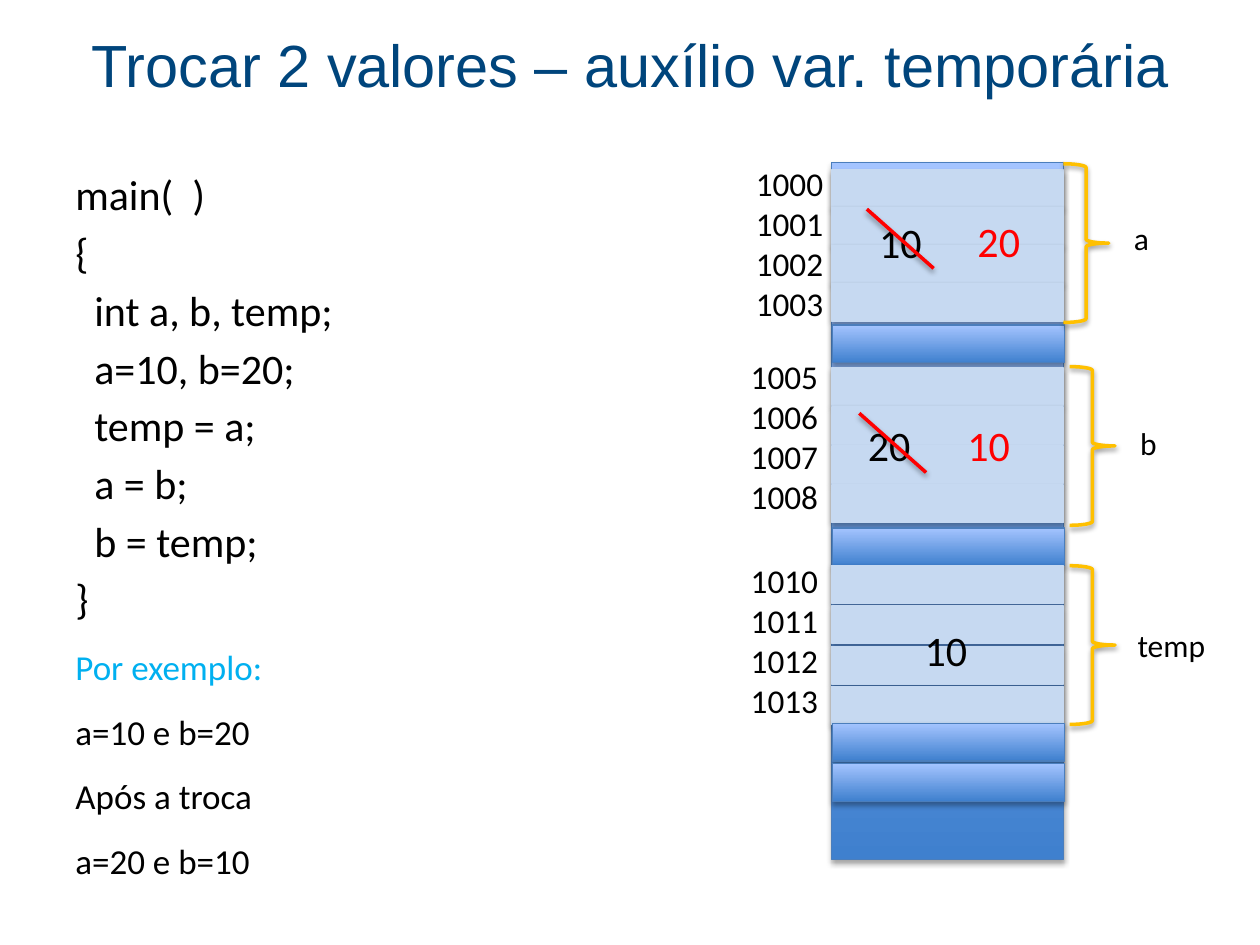
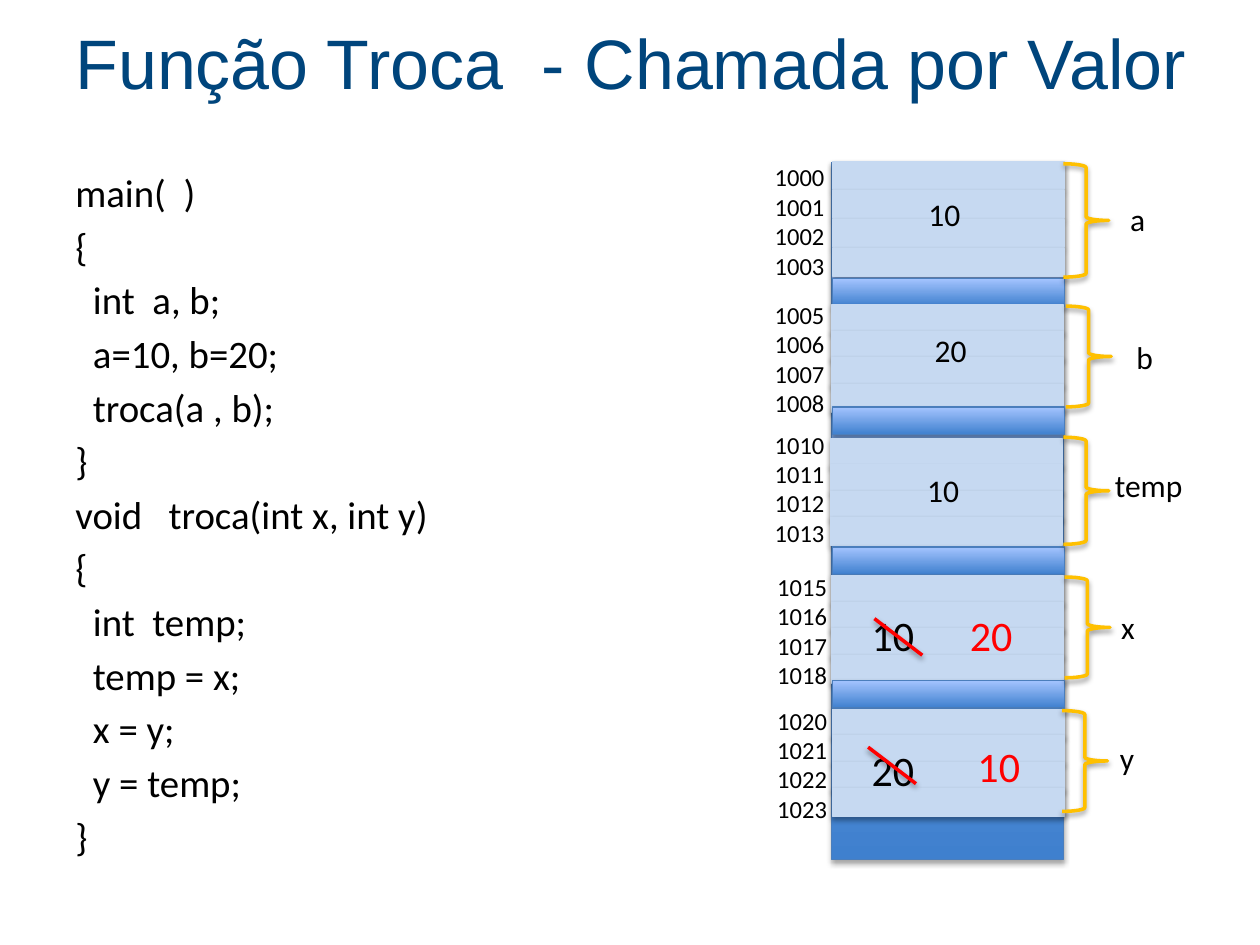
import pptx
import pptx.util
import pptx.dml.color
import pptx.enum.shapes
import pptx.enum.text
import pptx.oxml
import pptx.oxml.ns
from pptx.util import Inches

NAVY, BLACK, RED, CYAN = "00457C", "000000", "FF0000", "00B0F0"
USED, FREE_DARK, FREE_LIGHT, FREE_EDGE = "C6D9F1", "3F80CE", "A4C4FF", "4B7EBC"
BRACE = "FFC000"
SHAPE = pptx.enum.shapes.MSO_SHAPE
STRAIGHT = pptx.enum.shapes.MSO_CONNECTOR.STRAIGHT
MEMORY_WIDTH = 1.84
rgb = pptx.dml.color.RGBColor.from_string


def add_text(slide, lines, left, top, width, height, size, color=BLACK, font="Calibri"):
    """Add a text box with one paragraph per line and return its frame."""
    frame = slide.shapes.add_textbox(
        Inches(left), Inches(top), Inches(width), Inches(height)).text_frame
    frame.word_wrap = True
    frame.margin_right = 0
    for number, line in enumerate(lines):
        paragraph = frame.add_paragraph() if number else frame.paragraphs[0]
        run = paragraph.add_run()
        run.text = line
        run.font.name = font
        run.font.size = pptx.util.Pt(size)
        run.font.color.rgb = rgb(color)
    return frame


def finish(shape, line_color, line_width, alpha):
    """Outline a shape or connector and give it the soft shadow."""
    shape.line.color.rgb = rgb(line_color)
    shape.line.width = pptx.util.Pt(line_width)
    shape._element.spPr.append(pptx.oxml.parse_xml(
        f'<a:effectLst {pptx.oxml.ns.nsdecls("a")}>'
        '<a:outerShdw blurRad="39370" dist="22860" dir="5400000" rotWithShape="0">'
        f'<a:srgbClr val="000000"><a:alpha val="{alpha}000"/></a:srgbClr>'
        '</a:outerShdw></a:effectLst>'))


# Each variable: name and its place, first cell, step, free cells after it,
# brace, first address and its place, values (text, left, top, size, color), strike start
slides = [
    {
        "title": "Trocar 2 valores – auxílio var. temporária",
        "title_size": 34, "title_height": 0.95,
        "code": ["main(  )", "{", "  int a, b, temp;", "  a=10, b=20;",
                 "  temp = a;", "  a = b;", "  b = temp;", "}"],
        "code_size": 24, "code_gap": 4.2,
        "example": ["Por exemplo:", "a=10 e b=20", "Após a troca", "a=20 e b=10"],
        "cell_height": 0.3, "address_size": 19, "strike": (0.53, 0.47),
        "variables": [
            ("a", (8.9, 1.69), (6.6, 1.35), 0.3, [2.58], (8.44, 1.3, 1.26),
             1000, (5.9, 1.25),
             [("10", 6.88, 1.67, 24, BLACK), ("20", 7.66, 1.66, 24, RED)], (6.88, 1.66)),
            ("b", (8.95, 3.32), (6.6, 2.92), 0.31, [4.19], (8.49, 2.91, 1.26),
             1005, (5.86, 2.78),
             [("20", 6.79, 3.28, 24, BLACK), ("10", 7.58, 3.28, 24, RED)], (6.82, 3.28)),
            ("temp", (8.93, 4.92), (6.6, 4.49), 0.32, [5.74, 6.06], (8.49, 4.49, 1.26),
             1010, (5.86, 4.4), [("10", 7.24, 4.91, 24, BLACK)], None),
        ],
    },
    {
        "title": "Função Troca  - Chamada por Valor",
        "title_size": 40, "title_height": 0.92,
        "code": ["main(  )", "{", "  int  a, b;", "  a=10, b=20;", "  troca(a , b);", "}",
                 "void   troca(int x, int y)", "{", "  int  temp;", "  temp = x;",
                 "  x = y;", "  y = temp;", "}"],
        "code_size": 22.2, "code_gap": 4,
        "example": [],
        "cell_height": 0.22, "address_size": 14, "strike": (0.38, 0.29),
        "variables": [
            ("a", (8.87, 1.54), (6.61, 1.28), 0.23, [2.21], (8.44, 1.3, 0.9),
             1000, (6.05, 1.24), [("10", 7.27, 1.5, 18, BLACK)], None),
            ("b", (8.92, 2.63), (6.6, 2.42), 0.21, [3.23], (8.46, 2.43, 0.8),
             1005, (6.05, 2.33), [("20", 7.32, 2.58, 18, BLACK)], None),
            ("temp", (8.75, 3.65), (6.59, 3.48), 0.21, [4.34], (8.44, 3.47, 0.85),
             1010, (6.05, 3.36), [("10", 7.26, 3.69, 18, BLACK)], None),
            ("x", (8.8, 4.78), (6.6, 4.57), 0.21, [5.4], (8.45, 4.58, 0.8),
             1015, (6.07, 4.49),
             [("10", 6.82, 4.79, 24, BLACK), ("20", 7.6, 4.79, 24, RED)], (6.94, 4.91)),
            ("y", (8.79, 5.82), (6.61, 5.63), 0.21, [], (8.43, 5.64, 0.8),
             1020, (6.07, 5.55),
             [("20", 6.82, 5.86, 24, BLACK), ("10", 7.66, 5.83, 24, RED)], (6.89, 5.93)),
        ],
    },
]

deck = pptx.Presentation()
deck.slide_width, deck.slide_height = Inches(10), Inches(7.5)

for content in slides:
    slide = deck.slides.add_slide(deck.slide_layouts[6])

    # Code, followed by the worked example
    code = add_text(slide, content["code"] + content["example"],
                    0.5, 1.29, 5.3, 5.69, content["code_size"])
    for paragraph in code.paragraphs[1:]:
        paragraph.space_before = pptx.util.Pt(content["code_gap"])
    for paragraph in code.paragraphs[len(content["code"]):]:
        paragraph.line_spacing = 1.4
        paragraph.space_before = pptx.util.Pt(3.3)
        paragraph.runs[0].font.size = pptx.util.Pt(20)
    if content["example"]:
        code.paragraphs[len(content["code"])].runs[0].font.color.rgb = rgb(CYAN)

    # Title
    title = add_text(slide, [content["title"]], 0.35, 0.03, 9.31, content["title_height"],
                     content["title_size"], NAVY, "Arial")
    title.margin_right = Inches(0.1)
    title.vertical_anchor = pptx.enum.text.MSO_ANCHOR.MIDDLE
    title.paragraphs[0].alignment = pptx.enum.text.PP_ALIGN.CENTER

    # Memory column: the whole bar, then each variable's cells and the free cells after it
    height = content["cell_height"]
    cells = [(6.6, 1.29, 5.53, False)]
    for _, _, (left, top), step, free_tops, *_ in content["variables"]:
        cells += [(left, top + i * step, height, True) for i in range(4)]
        cells += [(6.61, free_top, height, False) for free_top in free_tops]
    for left, top, cell_height, used in cells:
        cell = slide.shapes.add_shape(SHAPE.RECTANGLE, Inches(left), Inches(top),
                                      Inches(MEMORY_WIDTH), Inches(cell_height))
        if used:
            cell.fill.solid()
            cell.fill.fore_color.rgb = rgb(USED)
        else:
            cell.fill.gradient()
            cell.fill.gradient_angle = 90
            for stop, color in zip(cell.fill.gradient_stops, (FREE_DARK, FREE_LIGHT)):
                stop.color.rgb = rgb(color)
        finish(cell, USED if used else FREE_EDGE, 0.75, 35)

    # Braces, names, addresses and values
    for (name, name_at, _, _, _, (left, top, span),
         address, address_at, values, strike_at) in content["variables"]:
        brace = slide.shapes.add_shape(SHAPE.RIGHT_BRACE, Inches(left), Inches(top),
                                       Inches(0.36), Inches(span))
        brace.fill.background()
        finish(brace, BRACE, 2, 38)
        add_text(slide, [name], *name_at, 0.88, 0.4, 18)
        add_text(slide, [str(address + i) for i in range(4)], *address_at,
                 0.75, 1.38, content["address_size"])
        for value, value_left, value_top, size, color in values:
            add_text(slide, [value], value_left, value_top, 0.6, 0.45, size, color)

        # Line through the replaced value
        if strike_at:
            x, y = strike_at
            dx, dy = content["strike"]
            strike = slide.shapes.add_connector(STRAIGHT, Inches(x), Inches(y),
                                                Inches(x + dx), Inches(y + dy))
            finish(strike, RED, 2, 38)

deck.save("out.pptx")
